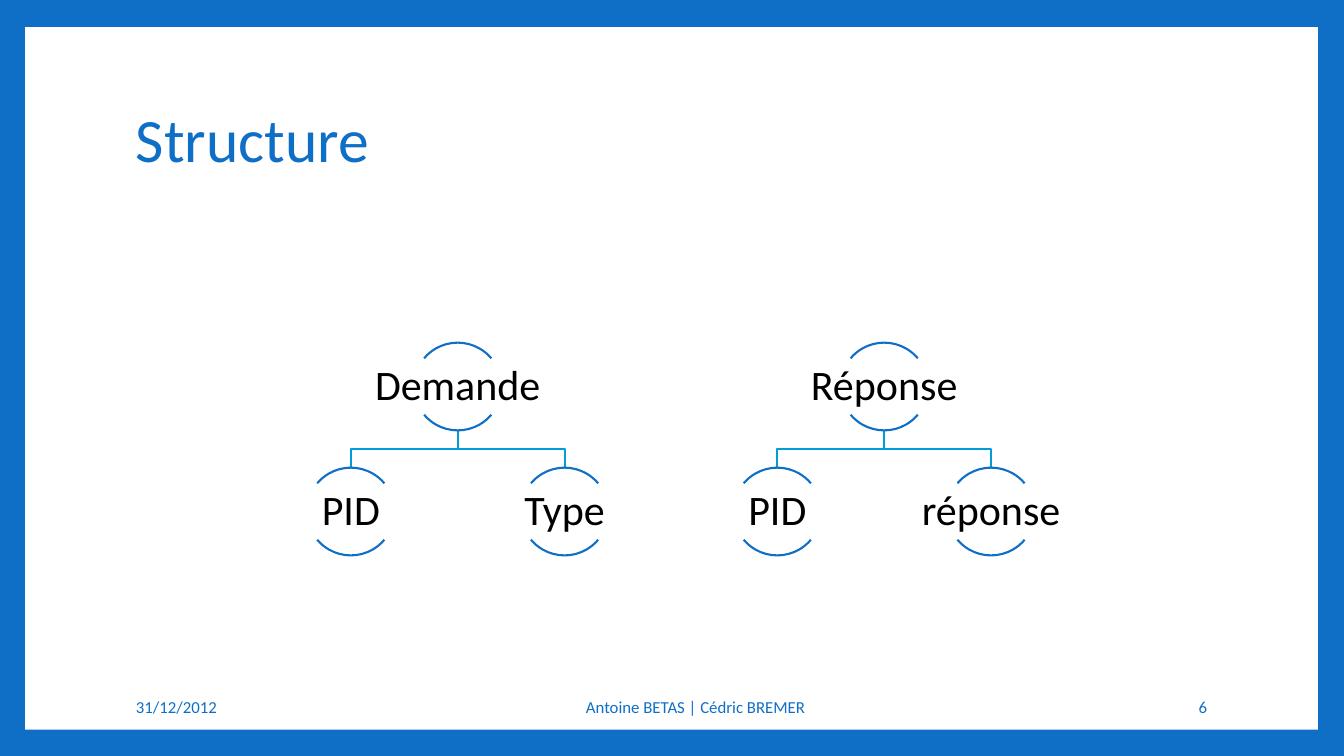
"""Build the slide "Structure": two small trees in a blue frame."""
from pptx import Presentation, util as u
from pptx.dml.color import RGBColor
from pptx.enum import shapes as sh, text as tx

TITLE = "Structure"
TREES = [("Demande", ["PID", "Type"]), ("Réponse", ["PID", "réponse"])]
FOOT = [
    ("31/12/2012", 1.25, 2.55, "LEFT"),
    ("Antoine BETAS | Cédric BREMER", 4.32, 5.16, "CENTER"),
    ("6", 10.2, 1.87, "RIGHT"),
]
HUES = {"blue": "0F6FC6", "cyan": "009DD9", "white": "FFFFFF", "black": "000000"}
FONT = "Calibri"
WIDE, HIGH = 13.33, 7.5
LEFT, TOP = 4.54, 3.4
HALF, ROW = 1.06, 1.24
SPAN = 4 * HALF - 0.01
DISC = 0.87
LABEL = (1.75, 0.56)
ARCS = [(132, 192), (24, 84)]

deck = Presentation()
deck.slide_width, deck.slide_height = u.Inches(WIDE), u.Inches(HIGH)
page = deck.slides.add_slide(deck.slide_layouts[6])


def hue(name):
    return RGBColor.from_string(HUES[name])


def box(x, y, w, h):
    return [u.Inches(v) for v in (x, y, w, h)]


def write(words, place, size, color, align="LEFT", pad=None, lead=None):
    frame = page.shapes.add_textbox(*box(*place)).text_frame
    frame.word_wrap = True
    frame.vertical_anchor = tx.MSO_ANCHOR.MIDDLE
    if pad is not None:
        frame.margin_left = frame.margin_right = u.Inches(pad)
        frame.margin_top = frame.margin_bottom = u.Inches(pad)
    para = frame.paragraphs[0]
    para.alignment = getattr(tx.PP_ALIGN, align)
    if lead:
        para.line_spacing = lead
    run = para.add_run()
    run.text = words
    run.font.name, run.font.size = FONT, u.Pt(size)
    run.font.color.rgb = hue(color)


def stroke(shape, color):
    shape.shadow.inherit = False
    shape.fill.background()
    shape.line.color.rgb = hue(color)
    shape.line.width = u.Pt(1.5)


def branch(x, end):
    low, next_top = TOP + DISC, TOP + ROW
    mid = (low + next_top) / 2
    pen = page.shapes.build_freeform(u.Inches(x), u.Inches(low))
    bends = [(x, mid), (end, mid), (end, next_top)]
    pen.add_line_segments([(u.Inches(a), u.Inches(b)) for a, b in bends], close=False)
    stroke(pen.convert_to_shape(), "cyan")


def node(words, x, y):
    for start, stop in ARCS:
        arc = page.shapes.add_shape(sh.MSO_SHAPE.ARC, *box(x - DISC / 2, y, DISC, DISC))
        arc.adjustments[0], arc.adjustments[1] = start, stop
        stroke(arc, "blue")
    w, h = LABEL
    place = (x - w / 2, y + (DISC - h) / 2, w, h)
    write(words, place, 30, "black", "CENTER", 0.02, 0.9)


def main():
    back = page.background.fill
    back.solid()
    back.fore_color.rgb = hue("blue")
    panel = page.shapes.add_shape(sh.MSO_SHAPE.RECTANGLE, *box(0.25, 0.27, 12.82, 6.97))
    panel.shadow.inherit = False
    panel.fill.solid()
    panel.fill.fore_color.rgb = hue("white")
    panel.line.fill.background()

    write(TITLE, (1.25, 0.67, 10.8, 1.48), 44, "blue", lead=0.9)
    for i, (root, kids) in enumerate(TREES):
        x = LEFT + i * SPAN
        ends = [x - HALF, x + HALF]
        for end in ends:
            branch(x, end)
        node(root, x, TOP)
        for kid, end in zip(kids, ends):
            node(kid, end, TOP + ROW)
    for words, x, w, align in FOOT:
        write(words, (x, 6.81, w, 0.4), 12, "blue", align)
    deck.save("out.pptx")


if __name__ == "__main__":
    main()
